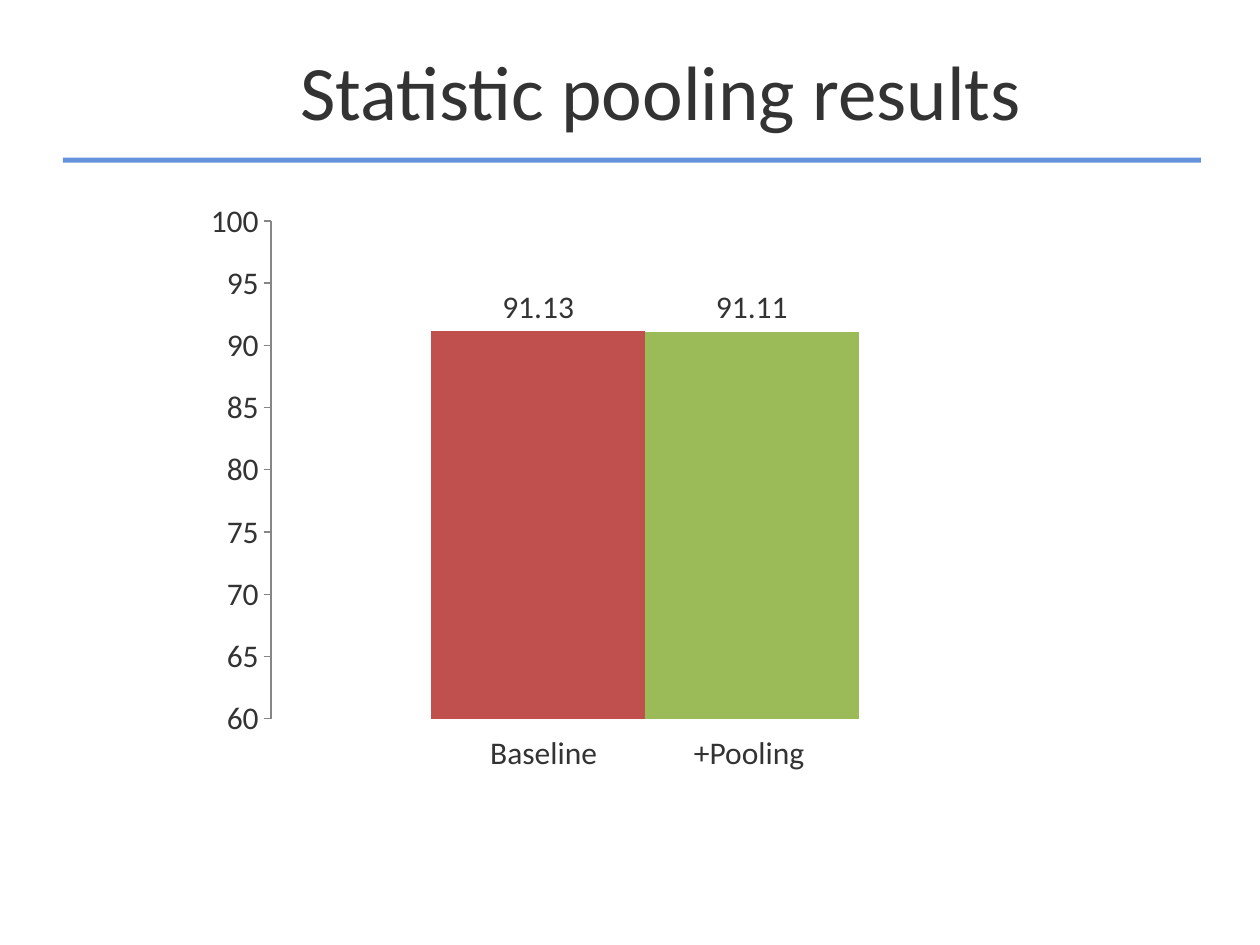
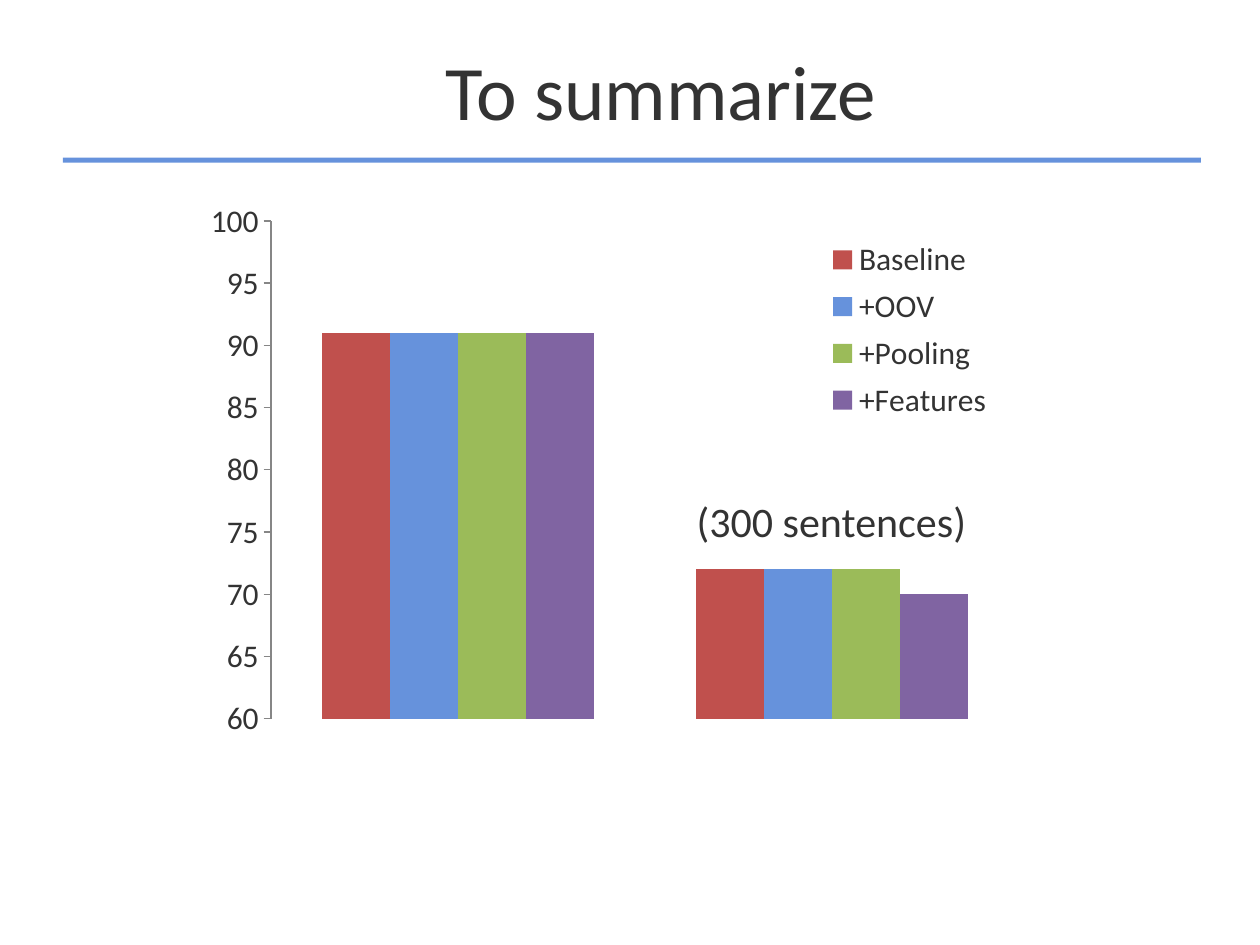
"""Build two slides that compare tagging accuracy in column charts."""
import lxml.etree
import pptx
import pptx.chart.data
import pptx.dml.color
import pptx.enum.chart
import pptx.enum.shapes
import pptx.enum.text
import pptx.oxml.ns
import pptx.util

Cm = pptx.util.Cm
Pt = pptx.util.Pt
RGBColor = pptx.dml.color.RGBColor

TEXT = RGBColor(0x33, 0x33, 0x33)
BLUE = RGBColor(0x66, 0x92, 0xDC)
RED = RGBColor(0xC0, 0x50, 0x4D)
GREEN = RGBColor(0x9B, 0xBB, 0x59)
PURPLE = RGBColor(0x80, 0x64, 0xA2)
AXIS = RGBColor(0x86, 0x86, 0x86)
FONT = "Calibri"

TITLE_BOX = (3.38, 0.41, 19.89, 2.79)
BAND_BOX = (1.27, 3.18, 22.94, 0.1)
CHART_BOX = (3.94, 3.89, 16.94, 11.28)
BAR_LABEL_BOX = (8.89, 14.66, 4.14, 1.02)
NOTE_BOX = (13.79, 9.86, 5.94, 1.27)
PLOT_LAYOUT = {"x": 0.09, "y": 0.05, "w": 0.89, "h": 0.89}
LEGEND_LAYOUT = {"x": 0.75, "y": 0.07, "w": 0.2, "h": 0.35}

POOLING = {
    "title": "Statistic pooling results",
    "categories": ["1"],
    "series": [("Series 1", [91.13], RED), ("Series 2", [91.11], GREEN)],
    "bar_labels": ["Baseline", "+Pooling"],
}
SUMMARY = {
    "title": "To summarize",
    "categories": ["1", "2"],
    "series": [
        ("Baseline", [91, 72], RED),
        ("+OOV", [91, 72], BLUE),
        ("+Pooling", [91, 72], GREEN),
        ("+Features", [91, 70], PURPLE),
    ],
    "note": "(300 sentences)",
}


def apply(target, values):
    for name, value in values.items():
        setattr(target, name, value)


def format_font(font, size):
    apply(font, {"name": FONT, "size": Pt(size)})
    font.color.rgb = TEXT


def place(box):
    return [Cm(length) for length in box]


def add_text(slide, text, box, size, anchor=pptx.enum.text.MSO_ANCHOR.TOP):
    frame = slide.shapes.add_textbox(*place(box)).text_frame
    apply(frame, {"word_wrap": True, "vertical_anchor": anchor, "text": text})
    paragraph = frame.paragraphs[0]
    paragraph.alignment = pptx.enum.text.PP_ALIGN.CENTER
    format_font(paragraph.runs[0].font, size)


def make_layout(fractions, inner=False):
    qn = pptx.oxml.ns.qn
    layout = lxml.etree.Element(qn("c:layout"))
    manual = lxml.etree.SubElement(layout, qn("c:manualLayout"))
    settings = {"layoutTarget": "inner"} if inner else {}
    settings.update(xMode="edge", yMode="edge", **fractions)
    for name, value in settings.items():
        lxml.etree.SubElement(manual, qn("c:" + name)).set("val", str(value))
    return layout


def add_column_chart(slide, categories, series_rows, labelled):
    data = pptx.chart.data.CategoryChartData()
    data.categories = categories
    for name, values, _ in series_rows:
        data.add_series(name, values)
    kind = pptx.enum.chart.XL_CHART_TYPE.COLUMN_CLUSTERED
    chart = slide.shapes.add_chart(kind, *place(CHART_BOX), data).chart
    apply(chart, {"has_title": False, "has_legend": not labelled})
    format_font(chart.font, 18)

    plot = chart.plots[0]
    apply(plot, {"gap_width": 150, "overlap": 0, "vary_by_categories": False})
    for series, (_, _, color) in zip(plot.series, series_rows):
        series.format.fill.solid()
        series.format.fill.fore_color.rgb = color
    if labelled:
        plot.has_data_labels = True
        apply(plot.data_labels, {
            "show_value": True,
            "position": pptx.enum.chart.XL_LABEL_POSITION.OUTSIDE_END,
        })
        format_font(plot.data_labels.font, 18)

    chart.category_axis.visible = False
    axis = chart.value_axis
    apply(axis, {
        "minimum_scale": 60,
        "maximum_scale": 100,
        "major_unit": 5,
        "has_major_gridlines": False,
        "major_tick_mark": pptx.enum.chart.XL_TICK_MARK.OUTSIDE,
    })
    axis.format.line.color.rgb = AXIS
    axis.format.line.width = Pt(0.75)

    plot_area = chart._chartSpace.find(".//" + pptx.oxml.ns.qn("c:plotArea"))
    for layout in plot_area.findall(pptx.oxml.ns.qn("c:layout")):
        plot_area.remove(layout)
    plot_area.insert(0, make_layout(PLOT_LAYOUT, inner=True))
    if chart.has_legend:
        legend = chart.legend
        apply(legend, {
            "position": pptx.enum.chart.XL_LEGEND_POSITION.RIGHT,
            "include_in_layout": True,
        })
        format_font(legend.font, 18)
        element = legend._element
        for layout in element.findall(pptx.oxml.ns.qn("c:layout")):
            element.remove(layout)
        overlay = element.find(pptx.oxml.ns.qn("c:overlay"))
        overlay.addprevious(make_layout(LEGEND_LAYOUT))


def add_slide(presentation, content):
    slide = presentation.slides.add_slide(presentation.slide_layouts[6])
    rectangle = pptx.enum.shapes.MSO_SHAPE.RECTANGLE
    band = slide.shapes.add_shape(rectangle, *place(BAND_BOX))
    band.shadow.inherit = False
    band.fill.solid()
    band.fill.fore_color.rgb = BLUE
    band.line.fill.background()
    middle = pptx.enum.text.MSO_ANCHOR.MIDDLE
    add_text(slide, content["title"], TITLE_BOX, 44, middle)

    bar_labels = content.get("bar_labels", [])
    add_column_chart(slide, content["categories"], content["series"], bool(bar_labels))
    left, top, width, height = BAR_LABEL_BOX
    for index, label in enumerate(bar_labels):
        add_text(slide, label, (left + index * width, top, width, height), 18)
    if "note" in content:
        add_text(slide, content["note"], NOTE_BOX, 24)


def main():
    presentation = pptx.Presentation()
    apply(presentation, {"slide_width": Cm(25.4), "slide_height": Cm(19.05)})
    for content in (POOLING, SUMMARY):
        add_slide(presentation, content)
    presentation.save("out.pptx")


if __name__ == "__main__":
    main()
